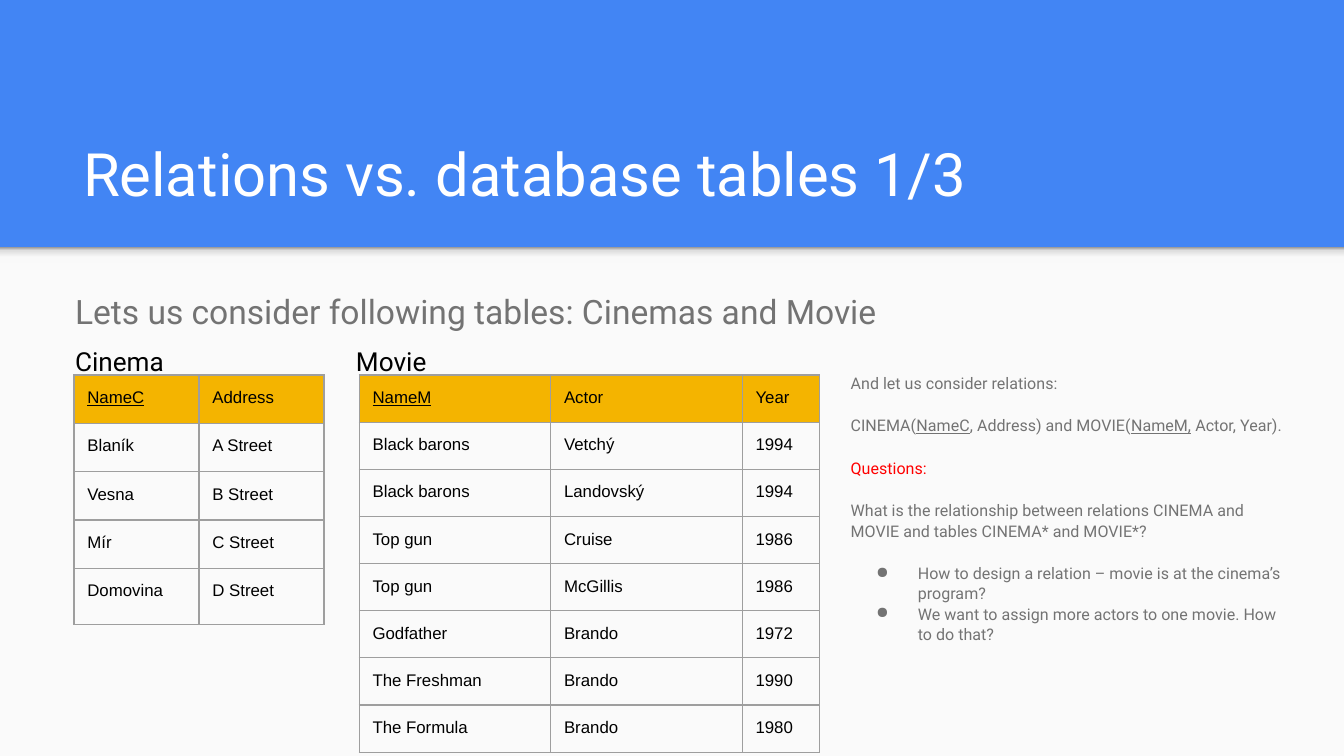
from lxml.etree import SubElement
from pptx import Presentation
from pptx.dml.color import RGBColor
from pptx.enum.shapes import MSO_SHAPE as Shape
from pptx.enum.text import MSO_ANCHOR as Anchor
from pptx.oxml.ns import qn
from pptx.util import Pt

COLORS = {
    "band": "4285F4", "page": "FAFAFA", "title": "FFFFFF", "body": "737373",
    "black": "000000", "question": "FF0000", "header": "F4B400", "border": "9E9E9E",
}
INSET = 7.2

# Content
TITLE = "Relations vs. database tables 1/3"
INTRO = "Lets us consider following tables: Cinemas and Movie"
CINEMA = {
    "caption": "Cinema", "caption_left": 33.1, "left": 39.6,
    "columns": [67, 67], "heights": [25.9] * 4 + [30.3],
    "rows": [("NameC", "Address"), ("Blaník", "A Street"), ("Vesna", "B Street"),
             ("Mír", "C Street"), ("Domovina", "D Street")],
}
MOVIE = {
    "caption": "Movie", "caption_left": 183.6, "left": 192.4,
    "columns": [102.6, 102.6, 41.4], "heights": [24.64] * 8,
    "rows": [("NameM", "Actor", "Year"), ("Black barons", "Vetchý", "1994"),
             ("Black barons", "Landovský", "1994"), ("Top gun", "Cruise", "1986"),
             ("Top gun", "McGillis", "1986"), ("Godfather", "Brando", "1972"),
             ("The Freshman", "Brando", "1990"), ("The Formula", "Brando", "1980")],
}
KEYS = {"NameC", "NameM", "NameM,"}  # underlined key attributes
# (runs, color, space before, bulleted)
NOTES = [
    (["And let us consider relations:"], "body", 0, False),
    (["CINEMA(", "NameC", ", Address) and MOVIE(", "NameM,", " Actor, Year)."], "body", 12, False),
    (["Questions:"], "question", 12, False),
    (["What is the relationship between relations CINEMA and MOVIE "
      "and tables CINEMA* and MOVIE*?"], "body", 12, False),
    (["How to design a relation – movie is at the cinema’s program?"], "body", 12, True),
    (["We want to assign more actors to one movie. How to do that?"], "body", 0, True),
]
# Shadow under the title band, top to bottom: (percent, color)
SHADOW_STOPS = [(0, "999999"), (20, "DEDEDE"), (64, "F9F9F9"), (100, "F9F9F9")]


def rgb(name):
    return RGBColor.from_string(COLORS[name])


def style(run, size, color, font="Roboto"):
    run.font.size = Pt(size)
    run.font.name = font
    run.font.color.rgb = rgb(color)
    if run.text in KEYS:
        run.font.underline = True


def add_frame(left, top, width, height, anchor=Anchor.TOP):
    frame = slide.shapes.add_textbox(Pt(left), Pt(top), Pt(width), Pt(height)).text_frame
    frame.word_wrap = True
    frame.vertical_anchor = anchor
    frame.margin_left = frame.margin_right = Pt(INSET)
    frame.margin_top = frame.margin_bottom = Pt(INSET)
    return frame


def add_line(text, box, size, color, anchor=Anchor.TOP):
    frame = add_frame(*box, anchor)
    frame.text = text
    style(frame.paragraphs[0].runs[0], size, color)
    return frame.paragraphs[0]


def add_panel(top, height):
    panel = slide.shapes.add_shape(Shape.RECTANGLE, 0, Pt(top), Pt(720), Pt(height))
    panel.shadow.inherit = False
    panel.line.fill.background()
    panel.fill.solid()
    panel.fill.fore_color.rgb = rgb("page")
    return panel


def add_gradient(panel, stops):
    panel.fill.gradient()
    gradient = panel.fill._fill._gradFill
    for child in list(gradient):
        gradient.remove(child)
    stop_list = SubElement(gradient, qn("a:gsLst"))
    for percent, color in stops:
        stop = SubElement(stop_list, qn("a:gs"), pos=str(percent * 1000))
        SubElement(stop, qn("a:srgbClr"), val=color)
    SubElement(gradient, qn("a:lin"), ang="5400000", scaled="0")


def add_borders(cell):
    properties = cell._tc.get_or_add_tcPr()
    for index, side in enumerate(("lnL", "lnR", "lnT", "lnB")):
        line = SubElement(properties, qn("a:" + side), w=str(Pt(0.75)))
        fill = SubElement(line, qn("a:solidFill"))
        SubElement(fill, qn("a:srgbClr"), val=COLORS["border"])
        properties.insert(index, line)


def add_relation(relation):
    add_line(relation["caption"], (relation["caption_left"], 177.8, 113.8, 31.7), 14, "black")
    rows, columns, heights = relation["rows"], relation["columns"], relation["heights"]
    table = slide.shapes.add_table(
        len(rows), len(columns), Pt(relation["left"]), Pt(200.9),
        Pt(sum(columns)), Pt(sum(heights))).table
    table.first_row = table.horz_banding = False
    for column, width in zip(table.columns, columns):
        column.width = Pt(width)
    for row_index, (row, height) in enumerate(zip(rows, heights)):
        table.rows[row_index].height = Pt(height)
        for column_index, text in enumerate(row):
            cell = table.cell(row_index, column_index)
            cell.text_frame.text = text
            style(cell.text_frame.paragraphs[0].runs[0], 9, "black", "Arial")
            cell.margin_left = cell.margin_right = Pt(INSET)
            cell.margin_top = cell.margin_bottom = Pt(INSET)
            if row_index == 0:
                cell.fill.solid()
                cell.fill.fore_color.rgb = rgb("header")
            else:
                cell.fill.background()
            add_borders(cell)


def add_bullet(paragraph):
    properties = paragraph._p.get_or_add_pPr()
    properties.set("marL", str(Pt(36)))
    properties.set("indent", str(-Pt(22.3)))
    color = SubElement(properties, qn("a:buClr"))
    SubElement(color, qn("a:srgbClr"), val=COLORS["body"])
    SubElement(properties, qn("a:buChar"), char="●")


presentation = Presentation()
presentation.slide_width, presentation.slide_height = Pt(720), Pt(405)
slide = presentation.slides.add_slide(presentation.slide_layouts[6])

# Background: blue band, light page, shadow at their edge
slide.background.fill.solid()
slide.background.fill.fore_color.rgb = rgb("band")
add_panel(132.5, 272.5)
add_gradient(add_panel(132.5, 8.6), SHADOW_STOPS)

# Title and introduction
add_line(TITLE, (37.4, 58.3, 647.3, 60.5), 32, "title", Anchor.BOTTOM)
intro = add_line(INTRO, (33.1, 145.4, 582.5, 36.7), 18, "body")
intro.line_spacing = 1.15
intro.space_after = Pt(12)

# Tables with captions
for relation in (CINEMA, MOVIE):
    add_relation(relation)

# Relations and questions
notes = add_frame(448.6, 192.2, 246.2, 185)
for index, (texts, color, space, bulleted) in enumerate(NOTES):
    paragraph = notes.add_paragraph() if index else notes.paragraphs[0]
    paragraph.line_spacing = 1.05
    paragraph.space_before = Pt(space)
    for text in texts:
        run = paragraph.add_run()
        run.text = text
        style(run, 8.6, color)
    if bulleted:
        add_bullet(paragraph)

presentation.save("out.pptx")
